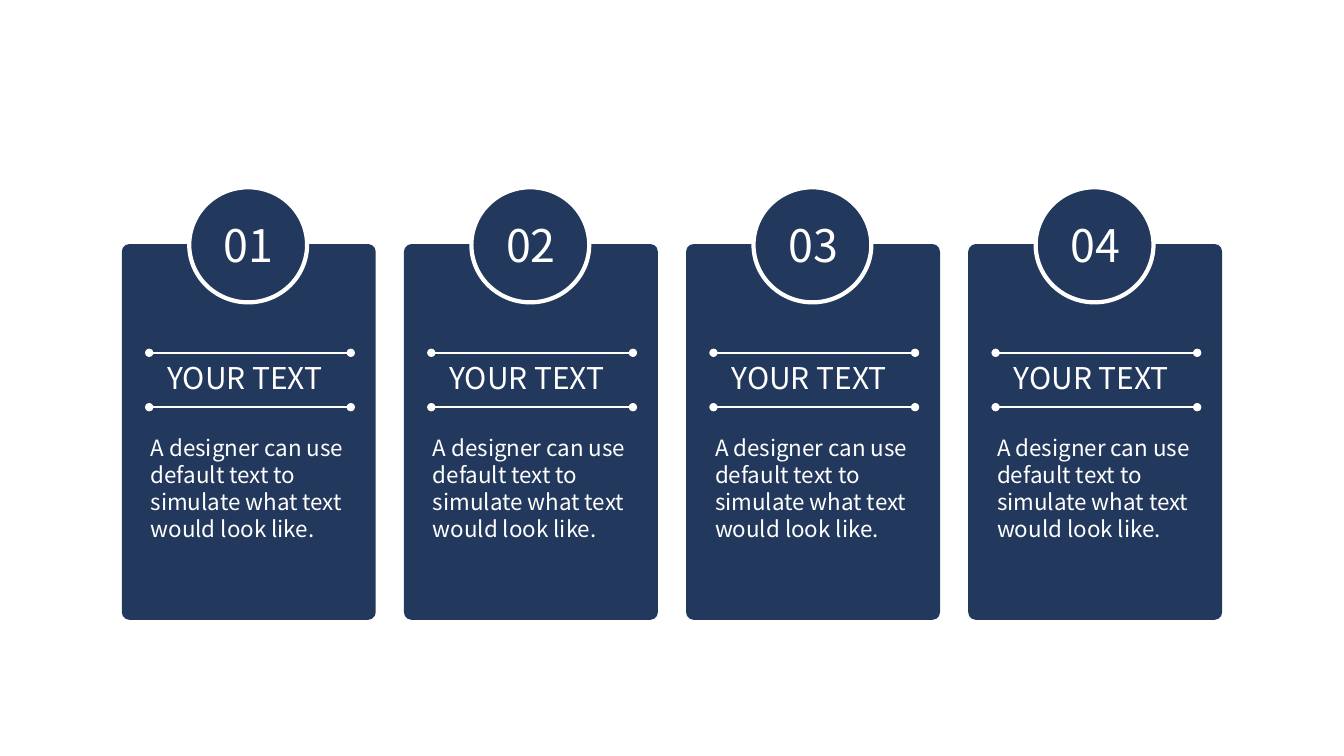
from lxml import etree
from pptx import Presentation, util as u
from pptx.enum import shapes, text
from pptx.dml.color import RGBColor
from pptx.oxml.ns import qn

COLOURS = {"navy": "22385C", "white": "FFFFFF"}
CARD_LEFT, CARD_PITCH = 3.07, 7.11
CARDS = [
    (number, "YOUR TEXT ", "A designer can use default text to simulate what text would look like.")
    for number in ("01", "02", "03", "04")
]


class Canvas:
    """Draws styled elements on one slide; every length is in centimetres."""

    font_name = "Noto Sans CJK SC"

    def __init__(self, slide):
        self.slide = slide

    def colour(self, name):
        return RGBColor.from_string(COLOURS[name])

    def shape(self, kind, left, top, width, height, outline=None):
        shape = self.slide.shapes.add_shape(kind, u.Cm(left), u.Cm(top), u.Cm(width), u.Cm(height))
        shape.shadow.inherit = False
        shape.fill.solid()
        shape.fill.fore_color.rgb = self.colour("navy")
        if outline:
            shape.line.color.rgb = self.colour("white")
            shape.line.width = u.Pt(outline)
        else:
            shape.line.fill.background()
        return shape

    def dotted_end_line(self, left, top, width):
        """Draw a horizontal rule with a round dot at each end."""
        line = self.slide.shapes.add_connector(
            shapes.MSO_CONNECTOR.STRAIGHT, u.Cm(left), u.Cm(top), u.Cm(left + width), u.Cm(top))
        line.line.color.rgb = self.colour("white")
        line.line.width = u.Pt(1.5)
        outline = line.line._get_or_add_ln()
        for end in ("a:headEnd", "a:tailEnd"):
            etree.SubElement(outline, qn(end), type="oval")
        etree.SubElement(line._element.spPr, qn("a:effectLst"))

    def label(self, words, left, top, width, height, size, align=text.PP_ALIGN.CENTER,
              anchor=text.MSO_ANCHOR.TOP, wrap=True):
        box = self.slide.shapes.add_textbox(u.Cm(left), u.Cm(top), u.Cm(width), u.Cm(height))
        frame = box.text_frame
        frame.word_wrap = wrap
        frame.auto_size = text.MSO_AUTO_SIZE.SHAPE_TO_FIT_TEXT
        frame.vertical_anchor = anchor
        paragraph = frame.paragraphs[0]
        paragraph.text = words
        paragraph.alignment = align
        paragraph.font.name = self.font_name
        paragraph.font.size = u.Pt(size)
        paragraph.font.color.rgb = self.colour("white")

    def card(self, left, number, heading, body):
        panel = self.shape(shapes.MSO_SHAPE.ROUNDED_RECTANGLE, left, 6.15, 6.4, 9.47)
        panel.adjustments[0] = 0.03
        for rule_top in (8.89, 10.26):
            self.dotted_end_line(left + 0.69, rule_top, 5.08)
        self.label(body, left + 0.48, 10.82, 5.38, 3.68, 16, align=text.PP_ALIGN.LEFT)
        self.label(heading, left + 0.2, 8.94, 5.97, 1.17, 21.4)
        self.shape(shapes.MSO_SHAPE.OVAL, left + 1.7, 4.72, 2.97, 2.9, outline=3)
        self.label(number, left + 2.31, 5.36, 1.78, 1.63, 32,
                   anchor=text.MSO_ANCHOR.MIDDLE, wrap=False)


def main():
    presentation = Presentation()
    presentation.slide_width, presentation.slide_height = u.Cm(33.87), u.Cm(19.05)
    blank_layout = presentation.slide_layouts[6]
    canvas = Canvas(presentation.slides.add_slide(blank_layout))
    for index, (number, heading, body) in enumerate(CARDS):
        canvas.card(CARD_LEFT + index * CARD_PITCH, number, heading, body)
    presentation.save("out.pptx")


if __name__ == "__main__":
    main()
